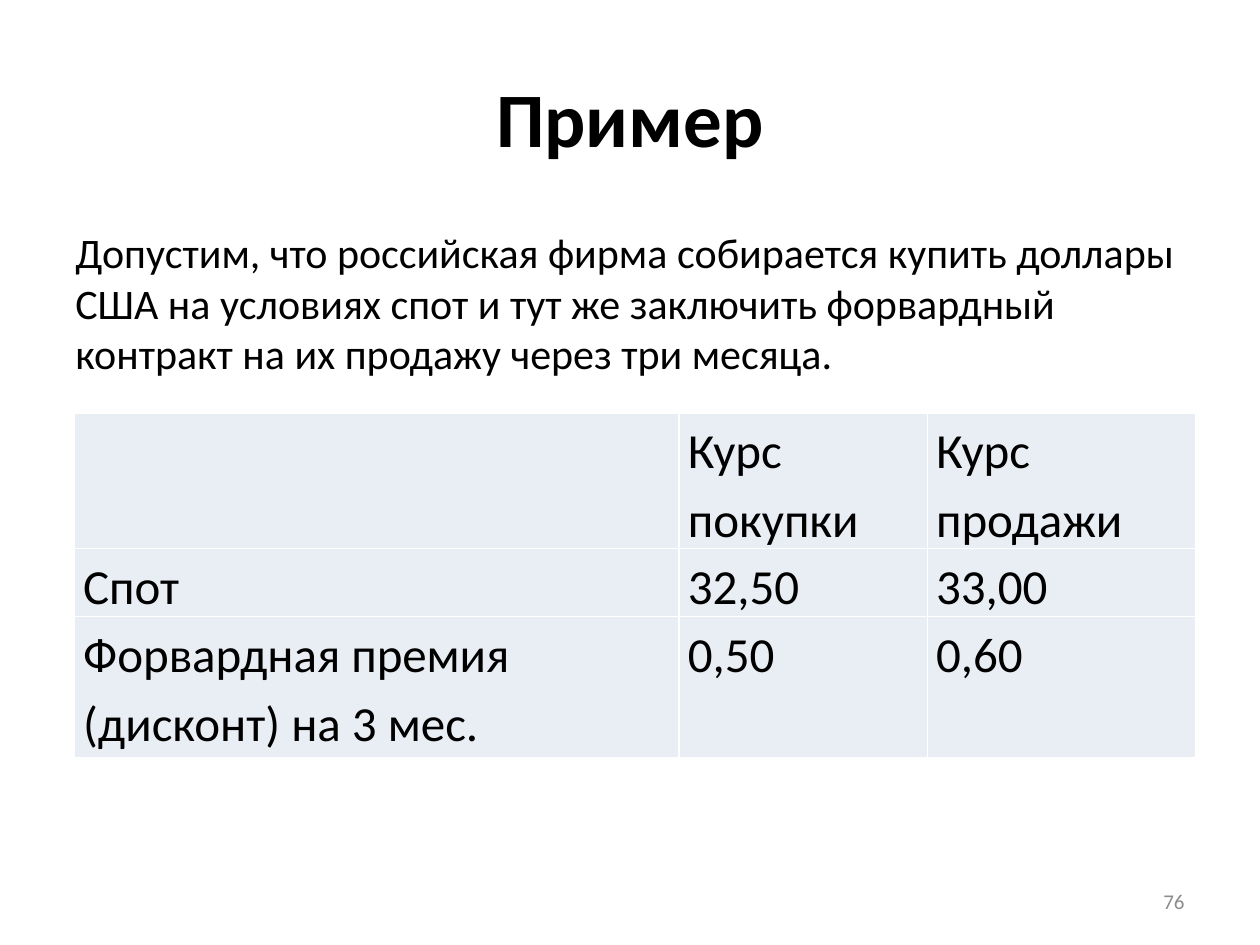
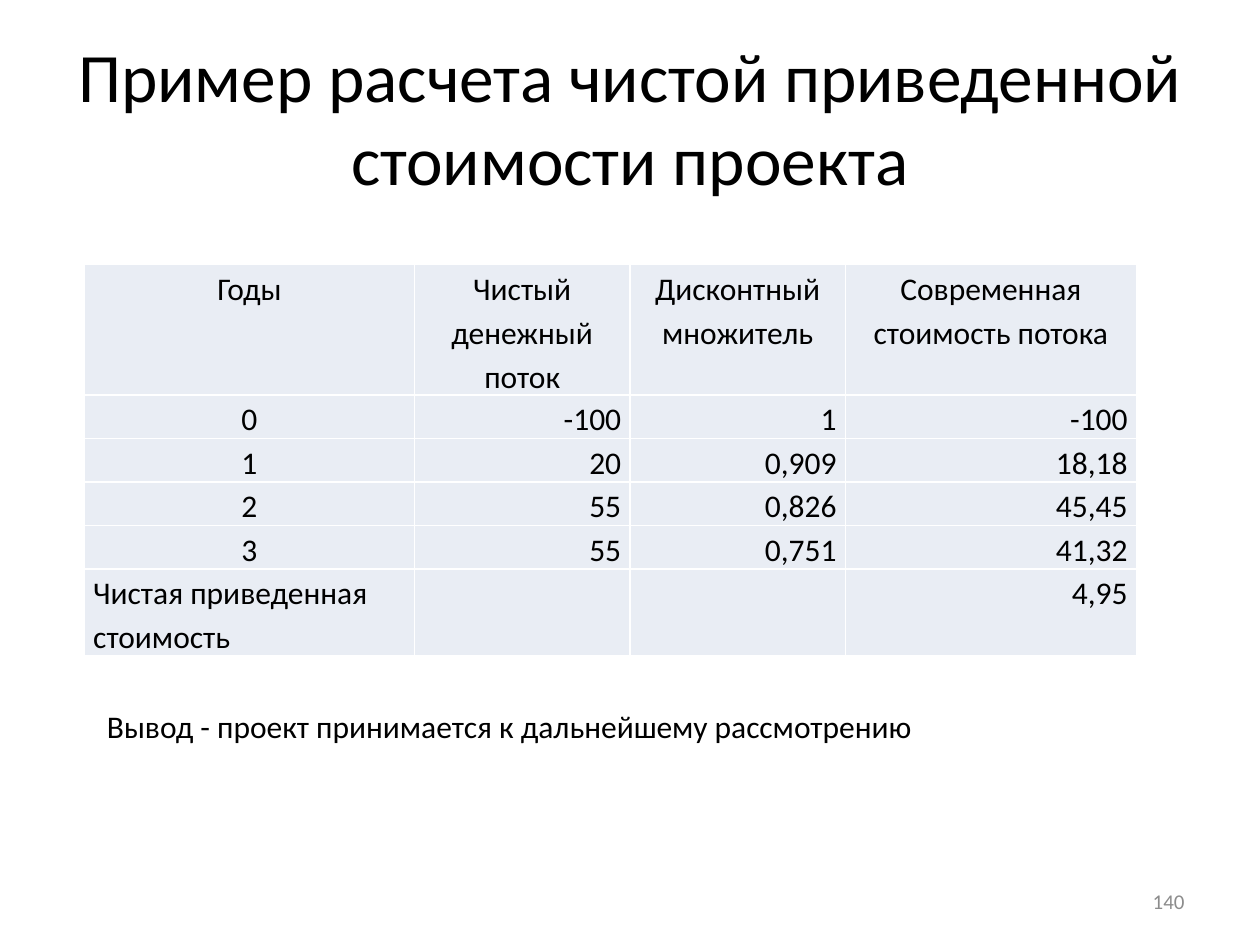
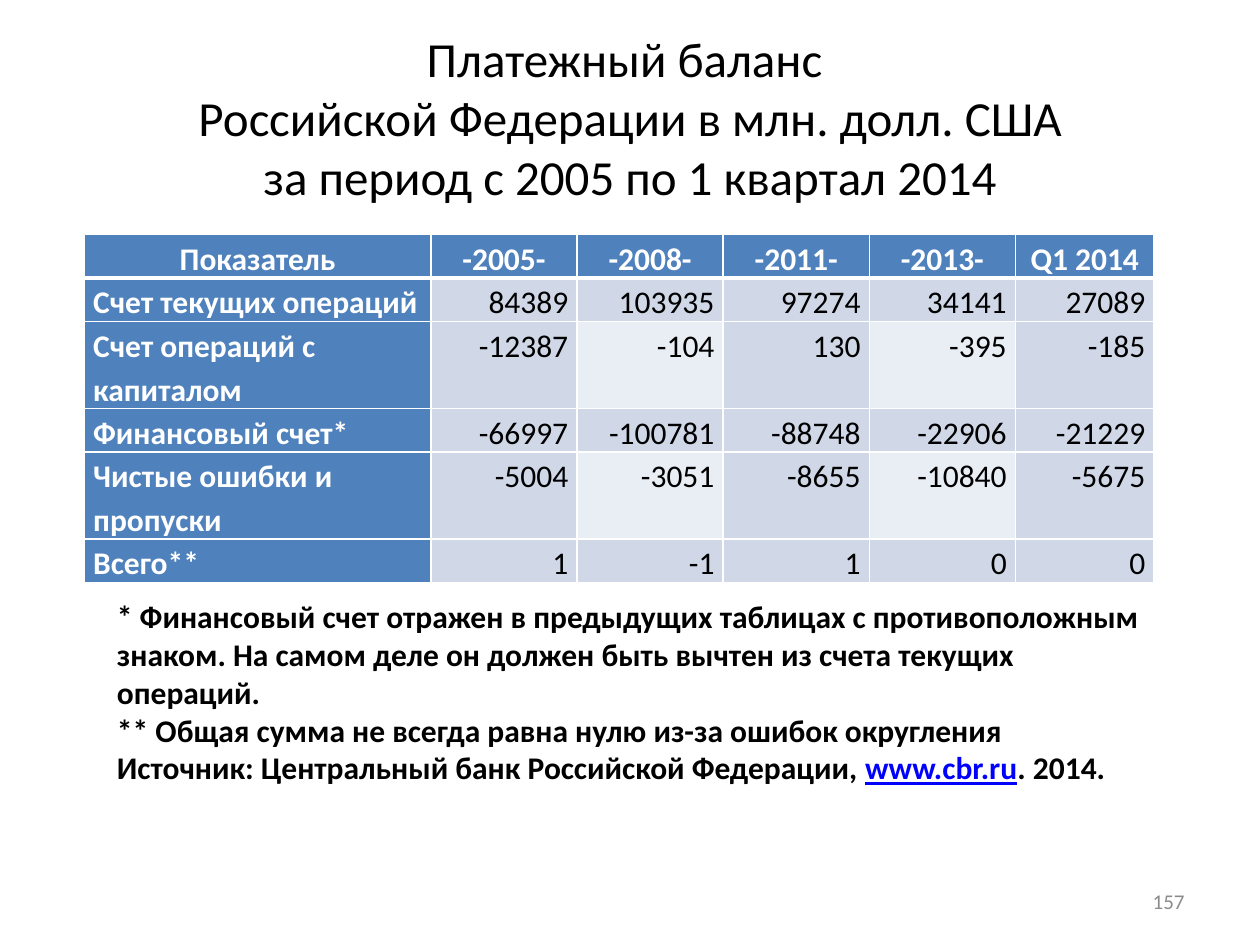
from dataclasses import dataclass

from lxml import etree
from pptx import Presentation
from pptx.dml.color import RGBColor
from pptx.enum.text import MSO_ANCHOR, PP_ALIGN
from pptx.oxml.ns import qn
from pptx.util import Inches, Pt

LEFT, CENTER, RIGHT = PP_ALIGN.LEFT, PP_ALIGN.CENTER, PP_ALIGN.RIGHT
JUSTIFY = PP_ALIGN.JUSTIFY
TOP, MIDDLE = MSO_ANCHOR.TOP, MSO_ANCHOR.MIDDLE
BLANK_LAYOUT = 6


@dataclass(frozen=True)
class Theme:
    font: str = "Calibri"
    text: str = "000000"
    white: str = "FFFFFF"
    muted: str = "8C8C8C"
    link: str = "0000FF"
    accent: str = "4F81BD"
    band: str = "D0D8E8"
    pale: str = "E9EDF4"
    title_size: float = 44
    long_title_size: float = 39.6
    heading_size: float = 28
    body_size: float = 24
    note_size: float = 18
    number_size: float = 12
    cell_spacing: float = 1.15
    cell_inset: float = 0.07
    thin_line: float = 1
    thick_line: float = 3


THEME = Theme()

RATE_ROWS = [
    ["", "Курс покупки", "Курс продажи"],
    ["Спот", "32,50", "33,00"],
    ["Форвардная премия (дисконт) на 3 мес.", "0,50", "0,60"],
]
CASH_FLOW_ROWS = [
    ["Годы", "Чистый денежный поток", "Дисконтный множитель", "Современная стоимость потока"],
    ["0", "-100", "1", "-100"],
    ["1", "20", "0,909", "18,18"],
    ["2", "55", "0,826", "45,45"],
    ["3", "55", "0,751", "41,32"],
    ["Чистая приведенная стоимость", "", "", "4,95"],
]
BALANCE_ROWS = [
    ["Показатель", "-2005-", "-2008-", "-2011-", "-2013-", "Q1 2014"],
    ["Счет текущих операций", "84389", "103935", "97274", "34141", "27089"],
    ["Счет операций с капиталом", "-12387", "-104", "130", "-395", "-185"],
    ["Финансовый счет*", "-66997", "-100781", "-88748", "-22906", "-21229"],
    ["Чистые ошибки и пропуски", "-5004", "-3051", "-8655", "-10840", "-5675"],
    ["Всего**", "1", "-1", "1", "0", "0"],
]
BALANCE_NOTES = [
    ["* Финансовый счет отражен в предыдущих таблицах с противоположным знаком. "
     "На самом деле он должен быть вычтен из счета текущих операций."],
    ["** Общая сумма не всегда равна нулю из-за ошибок округления"],
    ["Источник: Центральный банк Российской Федерации, ",
     ("www.cbr.ru", {"color": THEME.link, "underline": True}),
     ". 2014."],
]


def add_span(para, text, size, color=THEME.text, **formats):
    span = para.add_run()
    span.text = text
    span.font.color.rgb = RGBColor.from_string(color)
    for name, value in {"name": THEME.font, "size": Pt(size), **formats}.items():
        setattr(span.font, name, value)


def add_text(page, place, paragraphs, size, align=LEFT, anchor=TOP, space_before=0, **formats):
    """Each paragraph is a list of spans: plain text or (text, formats)."""
    box = page.shapes.add_textbox(*map(Inches, place))
    frame = box.text_frame
    frame.word_wrap = True
    frame.vertical_anchor = anchor
    for index, spans in enumerate(paragraphs):
        para = frame.add_paragraph() if index else frame.paragraphs[0]
        para.alignment = align
        para.space_before = Pt(space_before)
        for span in spans:
            text, own = (span, {}) if isinstance(span, str) else span
            for line_index, line in enumerate(text.split("\n")):
                if line_index:
                    para.add_line_break()
                add_span(para, line, size, **{**formats, **own})


def add_page(deck, title, number, title_size, **title_formats):
    page = deck.slides.add_slide(deck.slide_layouts[BLANK_LAYOUT])
    add_text(page, (0.5, 0.3, 9, 1.25), [[title]], title_size, CENTER, MIDDLE, **title_formats)
    add_text(page, (7.17, 6.95, 2.33, 0.4), [[str(number)]], THEME.number_size,
             RIGHT, MIDDLE, color=THEME.muted)
    return page


def set_borders(cell, top, bottom):
    properties = cell._tc.get_or_add_tcPr()
    widths = {"L": THEME.thin_line, "R": THEME.thin_line, "T": top, "B": bottom}
    for side, width in widths.items():
        line = etree.SubElement(properties, qn(f"a:ln{side}"), w=str(Pt(width)))
        fill = etree.SubElement(line, qn("a:solidFill"))
        etree.SubElement(fill, qn("a:srgbClr"), val=THEME.white)


def add_table(page, place, widths, heights, rows, size, look):
    """look(row, column) gives the cell's align and, if needed, fill, color, bold, anchor."""
    frame = page.shapes.add_table(len(rows), len(widths), *map(Inches, place))
    table = frame.table
    table.first_row = table.horz_banding = False
    for column, width in zip(table.columns, widths):
        column.width = Inches(width)
    for row, height in zip(table.rows, heights):
        row.height = Inches(height)
    frame.height = Inches(place[3])
    for r, texts in enumerate(rows):
        for c, text in enumerate(texts):
            fill_cell(table.cell(r, c), text, size, **look(r, c))


def fill_cell(cell, text, size, align, fill=THEME.pale, color=THEME.text, bold=False,
              anchor=TOP, top=THEME.thin_line, bottom=THEME.thin_line):
    inset = Inches(THEME.cell_inset)
    formats = {"margin_left": inset, "margin_right": inset, "margin_top": 0,
               "margin_bottom": 0, "vertical_anchor": anchor}
    for name, value in formats.items():
        setattr(cell, name, value)
    set_borders(cell, top, bottom)
    cell.fill.solid()
    cell.fill.fore_color.rgb = RGBColor.from_string(fill)
    if text:
        para = cell.text_frame.paragraphs[0]
        para.alignment = align
        para.line_spacing = THEME.cell_spacing
        add_span(para, text, size, color, bold=bold)


def rate_look(row, column):
    return {"align": LEFT if (row, column) == (2, 0) else JUSTIFY}


def cash_flow_look(row, column):
    if column == 0 and row == len(CASH_FLOW_ROWS) - 1:
        return {"align": LEFT}
    return {"align": CENTER if row == 0 or column == 0 else RIGHT}


def balance_look(row, column):
    heading = {"fill": THEME.accent, "color": THEME.white, "bold": True}
    if row == 0:
        return {"align": CENTER, "anchor": MIDDLE, "bottom": THEME.thick_line, **heading}
    top = THEME.thick_line if row == 1 else THEME.thin_line
    if column == 0:
        return {"align": LEFT, "top": top, **heading}
    pale = row % 2 == 0 and column % 2 == 0
    return {"align": RIGHT, "top": top, "fill": THEME.pale if pale else THEME.band}


def add_rate_page(deck):
    page = add_page(deck, "Пример", 76, THEME.title_size, bold=True)
    add_text(page, (0.5, 1.75, 9, 4.95),
             [["Допустим, что российская фирма собирается купить доллары США на условиях "
               "спот и тут же заключить форвардный контракт на их продажу через три месяца."]],
             THEME.body_size, space_before=0.2 * THEME.body_size)
    add_table(page, (0.59, 3.28, 8.9, 2.74), [4.8, 1.97, 2.13], [0.54, 0.54, 1.12],
              RATE_ROWS, THEME.heading_size, rate_look)


def add_cash_flow_page(deck):
    page = add_page(deck, "Пример расчета чистой приведенной стоимости проекта", 140,
                    THEME.long_title_size)
    add_table(page, (0.67, 2.1, 8.35, 3.1), [2.62, 1.71, 1.71, 2.31], [0.57] + [0.18] * 5,
              CASH_FLOW_ROWS, THEME.note_size, cash_flow_look)
    add_text(page, (0.75, 5.56, 8.19, 0.4),
             [["Вывод - проект принимается к дальнейшему рассмотрению"]], THEME.note_size)


def add_balance_page(deck):
    title = ("Платежный баланс \nРоссийской Федерации в млн. долл. США\n"
             "за период с 2005 по 1 квартал 2014")
    page = add_page(deck, title, 157, THEME.heading_size)
    add_table(page, (0.67, 1.86, 8.5, 2.76), [2.75] + [1.16] * 4 + [1.1],
              [0.21] * 4 + [0.18] * 2, BALANCE_ROWS, THEME.note_size, balance_look)
    add_text(page, (0.83, 4.69, 8.35, 1.62), BALANCE_NOTES, THEME.note_size, bold=True)


def main():
    deck = Presentation()
    deck.slide_width, deck.slide_height = Inches(10), Inches(7.5)
    add_rate_page(deck)
    add_cash_flow_page(deck)
    add_balance_page(deck)
    deck.save("out.pptx")


if __name__ == "__main__":
    main()
